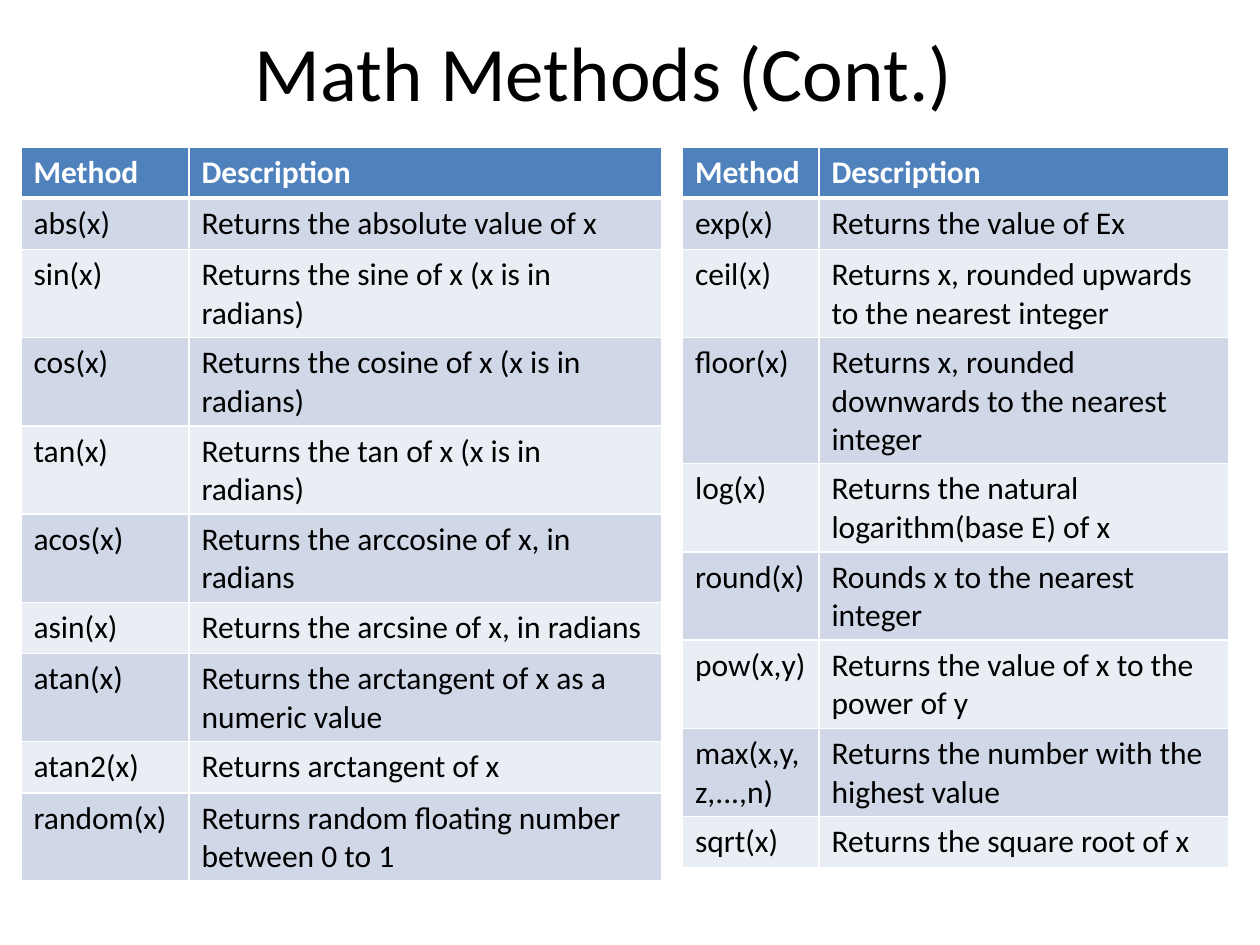
from lxml import etree
from pptx import Presentation, util as u
from pptx.dml.color import RGBColor
from pptx.enum import text
from pptx.oxml.ns import qn

PX = 9525  # EMU per px, 96 px to the inch
BLACK = RGBColor(0x00, 0x00, 0x00)
WHITE = RGBColor(0xFF, 0xFF, 0xFF)
HEADER_BLUE = RGBColor(0x4F, 0x81, 0xBD)
BANDS = [RGBColor(0xE9, 0xED, 0xF4), RGBColor(0xD0, 0xD8, 0xE8)]
ROW_HEIGHT = 39
TABLE_TOP = 112

COMMON_METHODS = [
    ("Method", "Description"),
    ("abs(x)", "Returns the absolute value of x"),
    ("sin(x)", "Returns the sine of x (x is in radians)"),
    ("cos(x)", "Returns the cosine of x (x is in radians)"),
    ("tan(x)", "Returns the tan of x (x is in radians)"),
    ("acos(x)", "Returns the arccosine of x, in radians"),
    ("asin(x)", "Returns the arcsine of x, in radians"),
    ("atan(x)", "Returns the arctangent of x as a numeric value"),
    ("atan2(x)", "Returns arctangent of x"),
    ("random(x)", "Returns random floating number between 0 to 1"),
]
NUMERIC_METHODS = [
    ("Method", "Description"),
    ("exp(x)", "Returns the value of Ex"),
    ("ceil(x)", "Returns x, rounded upwards to the nearest integer"),
    ("floor(x)", "Returns x, rounded downwards to the nearest integer"),
    ("log(x)", "Returns the natural logarithm(base E) of x"),
    ("round(x)", "Rounds x to the nearest integer"),
    ("pow(x,y)", "Returns the value of x to the power of y"),
    ("max(x,y,z,...,n)", "Returns the number with the highest value"),
    ("sqrt(x)", "Returns the square root of x"),
]


def write(frame, words, size=18, color=BLACK, bold=False, align=text.PP_ALIGN.LEFT):
    paragraph = frame.paragraphs[0]
    paragraph.alignment = align
    run = paragraph.add_run()
    run.text = words
    run.font.name = "Calibri"
    run.font.size = u.Pt(size)
    run.font.bold = bold
    run.font.color.rgb = color


def add_borders(cell, top, bottom):
    """White lines around a cell; widths in points."""
    properties = cell._tc.get_or_add_tcPr()
    for side, width in (("L", 1), ("R", 1), ("T", top), ("B", bottom)):
        line = etree.SubElement(properties, qn(f"a:ln{side}"), w=str(u.Pt(width)))
        fill = etree.SubElement(line, qn("a:solidFill"))
        etree.SubElement(fill, qn("a:srgbClr"), val=str(WHITE))


deck = Presentation()
deck.slide_width, deck.slide_height = 960 * PX, 720 * PX
slide = deck.slides.add_slide(deck.slide_layouts[6])

# Title
title = slide.shapes.add_textbox(0, 12 * PX, 920 * PX, 84 * PX).text_frame
title.word_wrap = True
title.vertical_anchor = text.MSO_ANCHOR.MIDDLE
write(title, "Math Methods (Cont.)", size=44, align=text.PP_ALIGN.CENTER)

# Two method tables side by side
for left, widths, methods in (
    (16, (128, 360), COMMON_METHODS),
    (520, (104, 312), NUMERIC_METHODS),
):
    table = slide.shapes.add_table(
        len(methods), 2, left * PX, TABLE_TOP * PX,
        sum(widths) * PX, len(methods) * ROW_HEIGHT * PX,
    ).table
    for column, width in zip(table.columns, widths):
        column.width = width * PX
    for row, entry in enumerate(methods):
        header = row == 0
        for col, words in enumerate(entry):
            cell = table.cell(row, col)
            add_borders(cell, top=3 if row == 1 else 1, bottom=3 if header else 1)
            cell.fill.solid()
            cell.fill.fore_color.rgb = HEADER_BLUE if header else BANDS[row % 2]
            write(cell.text_frame, words, color=WHITE if header else BLACK, bold=header)

deck.save("out.pptx")
